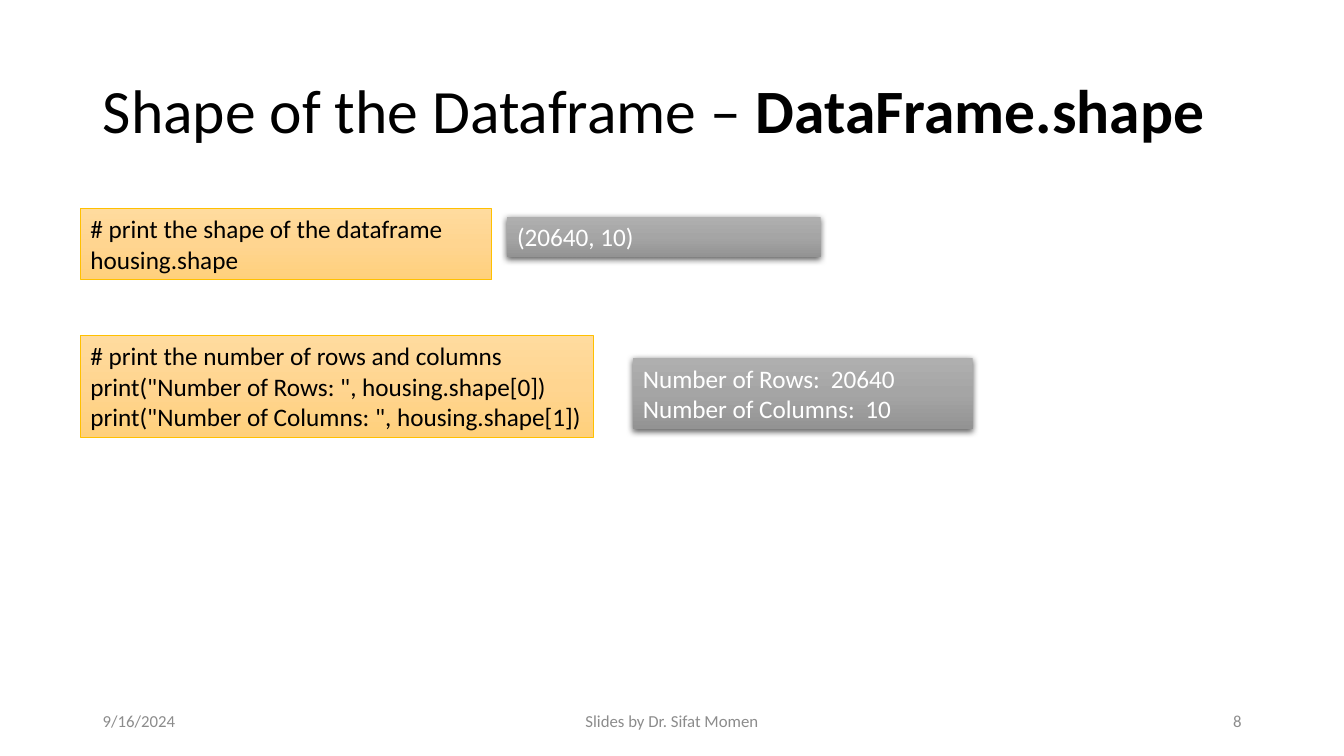
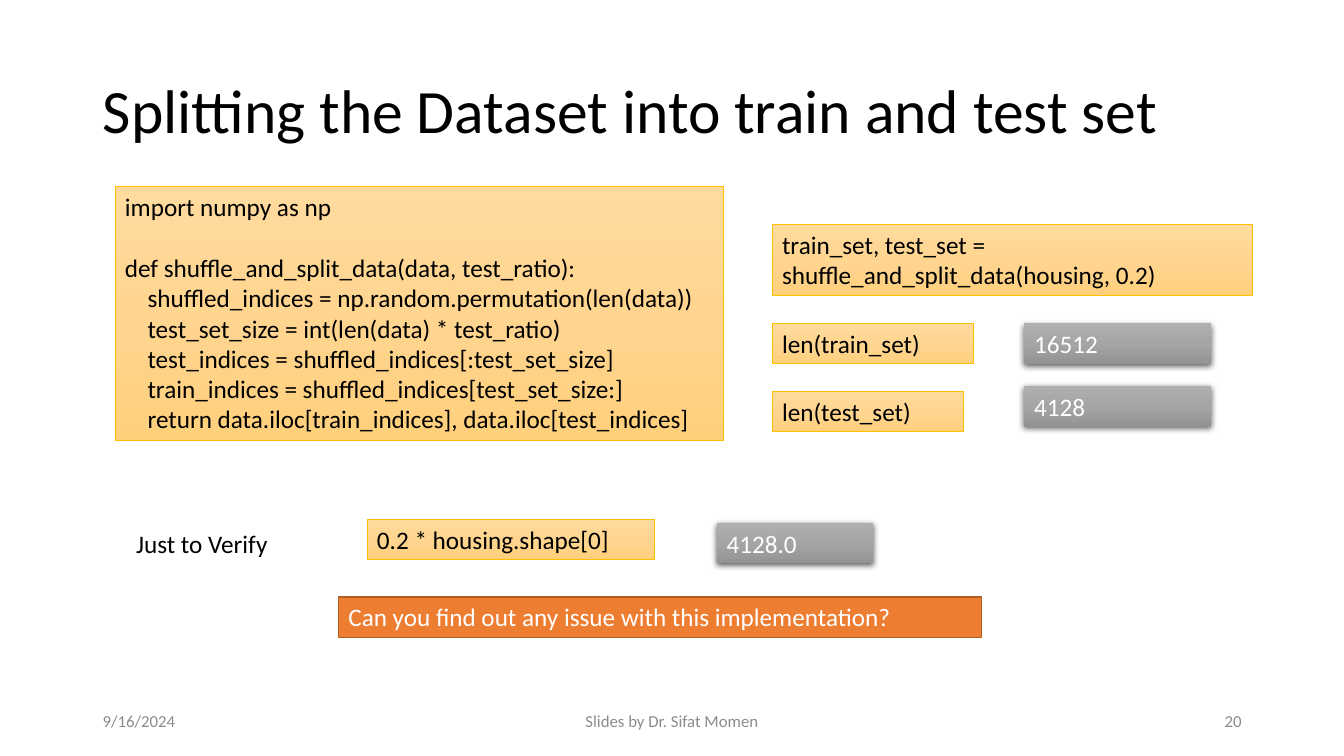
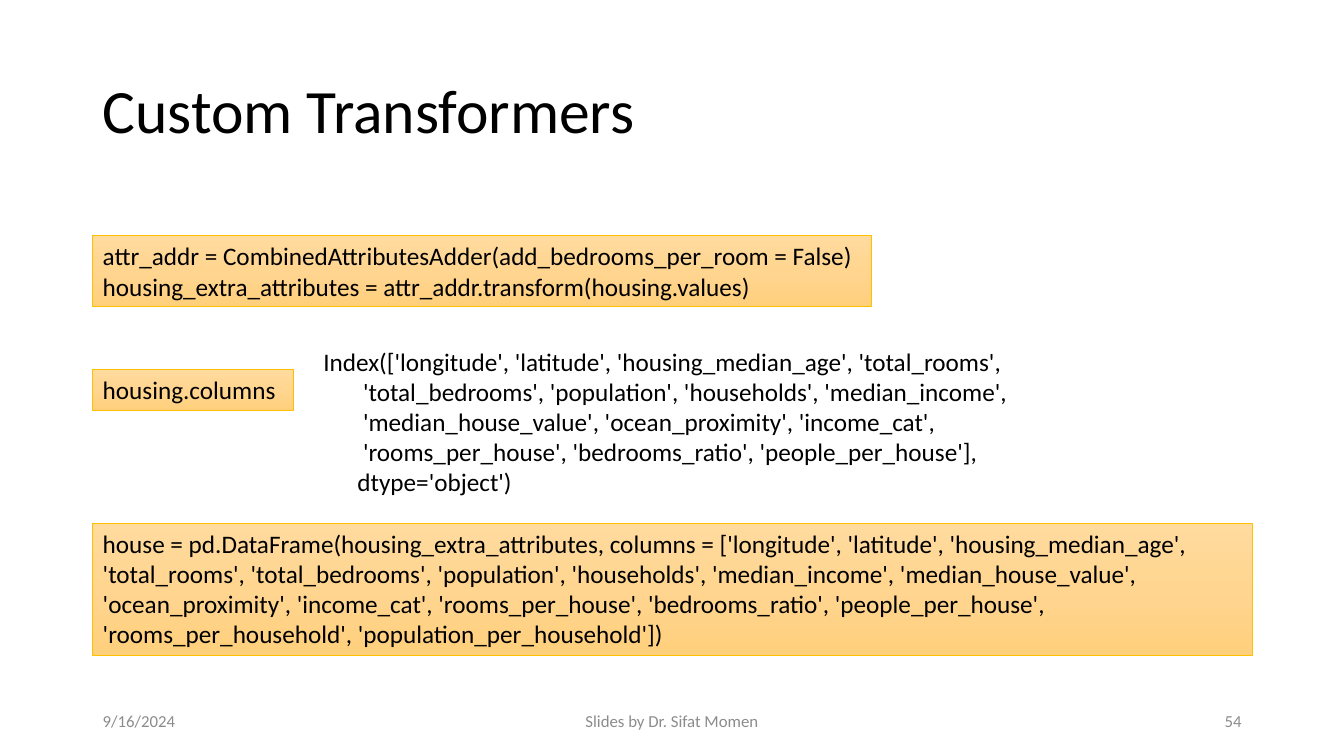
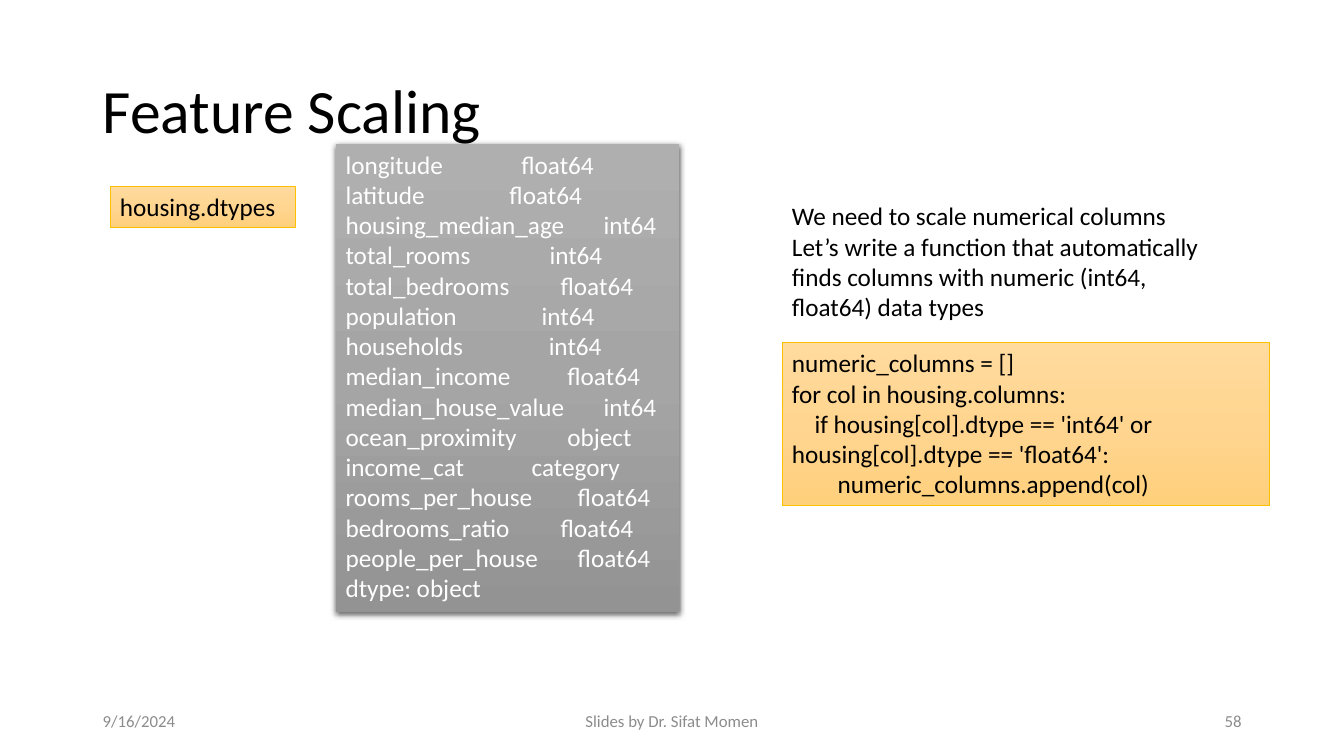
from copy import deepcopy
from dataclasses import dataclass

from pptx import Presentation
from pptx.dml.color import RGBColor
from pptx.enum.shapes import MSO_SHAPE
from pptx.enum.text import MSO_ANCHOR, MSO_AUTO_SIZE, PP_ALIGN
from pptx.oxml import parse_xml
from pptx.oxml.ns import nsdecls, qn
from pptx.util import Cm, Pt


@dataclass
class Line:
    """One paragraph: first-line indent and tab stop in cm, space before in pt."""
    text: str
    indent: float = 0
    tab: float = 0
    before: float = 0


@dataclass
class Box:
    """A block of text; rows is needed only when lines wrap or are spaced."""
    style: str
    left: float
    top: float
    width: float
    lines: list
    rows: int = 0


# Shared look
FONT = "Calibri"
GREY = "8C8C8C"
STYLES = {
    "code": dict(fill=["FFDB9E", "FFD590", "FFD07C"], line=("FFC000", 0.5), color="000000"),
    "output": dict(fill=["AFAFAF", "A5A5A5", "939393"], shadow=True, color="FFFFFF"),
    "question": dict(fill=["ED7D31"], line=("AF5C24", 1), color="FFFFFF"),
    "plain": dict(color="000000"),
}
MARGIN, BODY_WIDTH = 2.34, 29.21
ROW_HEIGHT, PADDING = 0.77, 0.25
FOOTER_TOP, FOOTER_HEIGHT = 17.65, 1.02
DATE, AUTHOR = "9/16/2024", "Slides by Dr. Sifat Momen"

# Content: column types, with the tab stop of each type
DTYPES = [
    ("longitude", "float64", 4.43),
    ("latitude", "float64", 4.13),
    ("housing_median_age", "int64", 6.5),
    ("total_rooms", "int64", 5.14),
    ("total_bedrooms", "float64", 5.42),
    ("population", "int64", 4.94),
    ("households", "int64", 5.12),
    ("median_income", "float64", 5.59),
    ("median_house_value", "int64", 6.5),
    ("ocean_proximity", "object", 5.59),
    ("income_cat", "category", 4.69),
    ("rooms_per_house", "float64", 5.85),
    ("bedrooms_ratio", "float64", 5.42),
    ("people_per_house", "float64", 5.85),
]
DTYPE_LINES = [Line(f"{name}\t{dtype}", tab=tab) for name, dtype, tab in DTYPES]

# Content: slides as (number, title runs with bold flag, boxes)
SLIDES = [
    (8, [("Shape of the Dataframe – ", False), ("DataFrame.shape", True)], [
        Box("code", 2.03, 5.26, 10.36, [
            Line("# print the shape of the dataframe"),
            Line("housing.shape")]),
        Box("output", 12.78, 5.46, 7.9, [Line("(20640, 10)")]),
        Box("code", 2.03, 8.46, 12.93, [
            Line("# print the number of rows and columns"),
            Line('print("Number of Rows: ", housing.shape[0])'),
            Line('print("Number of Columns: ", housing.shape[1])')]),
        Box("output", 15.95, 9.02, 8.56, [
            Line("Number of Rows:\t20640", tab=4.74),
            Line("Number of Columns:\t10", tab=5.61)]),
    ]),
    (20, [("Splitting the Dataset into train and test set", False)], [
        Box("code", 2.9, 4.7, 15.34, [
            Line("import numpy as np"),
            Line("def shuffle_and_split_data(data, test_ratio):", before=22),
            Line("shuffled_indices = np.random.permutation(len(data))", 0.57),
            Line("test_set_size = int(len(data) * test_ratio)", 0.57),
            Line("test_indices = shuffled_indices[:test_set_size]", 0.57),
            Line("train_indices = shuffled_indices[test_set_size:]", 0.57),
            Line("return data.iloc[train_indices], data.iloc[test_indices]", 0.57)], 8),
        Box("code", 19.46, 5.66, 12.09, [
            Line("train_set, test_set = shuffle_and_split_data(housing, 0.2)")], 2),
        Box("code", 19.46, 8.15, 5.08, [Line("len(train_set)")]),
        Box("code", 19.46, 9.86, 4.83, [Line("len(test_set)")]),
        Box("output", 25.81, 8.15, 4.72, [Line("16512")]),
        Box("output", 25.81, 9.73, 4.72, [Line("4128")]),
        Box("plain", 3.18, 13.18, 4.17, [Line("Just to Verify")]),
        Box("code", 9.25, 13.08, 7.24, [Line("0.2 * housing.shape[0]")]),
        Box("output", 18.06, 13.18, 3.94, [Line("4128.0")]),
        Box("question", 8.53, 15.04, 16.21, [
            Line("Can you find out any issue with this implementation?")]),
    ]),
    (54, [("Custom Transformers", False)], [
        Box("code", MARGIN, 5.94, 19.63, [
            Line("attr_addr = CombinedAttributesAdder(add_bedrooms_per_room = False)"),
            Line("housing_extra_attributes = attr_addr.transform(housing.values)")]),
        Box("code", MARGIN, 9.32, 5.05, [Line("housing.columns")]),
        Box("plain", 7.9, 8.59, 19.84, [
            Line("Index(['longitude', 'latitude', 'housing_median_age', 'total_rooms',"),
            Line("'total_bedrooms', 'population', 'households', 'median_income',", 1),
            Line("'median_house_value', 'ocean_proximity', 'income_cat',", 1),
            Line("'rooms_per_house', 'bedrooms_ratio', 'people_per_house'],", 1),
            Line("dtype='object')", 0.86)]),
        Box("code", MARGIN, 13.18, BODY_WIDTH, [
            Line("house = pd.DataFrame(housing_extra_attributes, columns = ["
                 "'longitude', 'latitude', 'housing_median_age', 'total_rooms', "
                 "'total_bedrooms', 'population', 'households', 'median_income', "
                 "'median_house_value', 'ocean_proximity', 'income_cat', "
                 "'rooms_per_house', 'bedrooms_ratio', 'people_per_house', "
                 "'rooms_per_household', 'population_per_household'])")], 4),
    ]),
    (58, [("Feature Scaling", False)], [
        Box("code", 2.77, 4.7, 4.67, [Line("housing.dtypes")]),
        Box("output", 8.46, 3.63, 8.66, DTYPE_LINES + [Line("dtype: object")]),
        Box("plain", 19.71, 4.93, 11.53, [
            Line("We need to scale numerical columns"),
            Line("Let’s write a function that automatically finds columns "
                 "with numeric (int64, float64) data types")], 4),
        Box("code", 19.71, 8.64, 12.27, [
            Line("numeric_columns = []"),
            Line("for col in housing.columns:"),
            Line("if housing[col].dtype == 'int64' or housing[col].dtype == 'float64':", 0.57),
            Line("numeric_columns.append(col)", 1.15)], 5),
    ]),
]


def rgb(value):
    return RGBColor.from_string(value)


def set_font(p, size, color):
    p.font.name = FONT
    p.font.size = Pt(size)
    p.font.color.rgb = rgb(color)


def add_text(s, left, top, width, height, runs, size, color, align=PP_ALIGN.LEFT):
    """Add a middle-anchored one-paragraph text box and return its paragraph."""
    tf = s.shapes.add_textbox(Cm(left), Cm(top), Cm(width), Cm(height)).text_frame
    tf.word_wrap = True
    tf.vertical_anchor = MSO_ANCHOR.MIDDLE
    p = tf.paragraphs[0]
    p.alignment = align
    set_font(p, size, color)
    for text, bold in runs:
        r = p.add_run()
        r.text = text
        if bold:
            r.font.bold = True
    return p


def add_frame(s, runs, number):
    """Add the title and the footer row."""
    title = add_text(s, MARGIN, 1.02, BODY_WIDTH, 3.68, runs, 44, "000000")
    title.line_spacing = 0.9
    for left, width, text, align in [
        (MARGIN, 7.62, DATE, PP_ALIGN.LEFT),
        (11.22, 11.43, AUTHOR, PP_ALIGN.CENTER),
        (23.92, 7.62, str(number), PP_ALIGN.RIGHT),
    ]:
        add_text(s, left, FOOTER_TOP, width, FOOTER_HEIGHT, [(text, False)], 12, GREY, align)


def paint(sp, fill, line=None, shadow=False):
    """Fill with one colour or an even downward gradient; add outline and shadow."""
    sp.shadow.inherit = False
    props = sp.element.spPr
    if len(fill) == 1:
        sp.fill.solid()
        sp.fill.fore_color.rgb = rgb(fill[0])
    else:
        sp.fill.gradient()
        sp.fill.gradient_angle = 270
        stops = props.find(".//" + qn("a:gsLst"))
        while len(stops) < len(fill):
            stops.insert(1, deepcopy(stops[0]))
        for i, (stop, color) in enumerate(zip(sp.fill.gradient_stops, fill)):
            stop.color.rgb = rgb(color)
            stop.position = i / (len(fill) - 1)
    if line:
        sp.line.color.rgb = rgb(line[0])
        sp.line.width = Pt(line[1])
    else:
        sp.line.fill.background()
    if shadow:
        props.find(qn("a:effectLst")).append(parse_xml(
            f'<a:outerShdw {nsdecls("a")} blurRad="{Pt(4.5)}" dist="{Pt(1.5)}" '
            'dir="5400000" algn="ctr" rotWithShape="0">'
            '<a:srgbClr val="000000"><a:alpha val="63000"/></a:srgbClr></a:outerShdw>'))


def add_line(p, line, color):
    p.text = line.text
    p.alignment = PP_ALIGN.LEFT
    if line.before:
        p.space_before = Pt(line.before)
    props = p._p.get_or_add_pPr()
    if line.indent:
        props.set("marL", "0")
        props.set("indent", str(Cm(line.indent)))
    if line.tab:
        props.append(parse_xml(
            f'<a:tabLst {nsdecls("a")}><a:tab pos="{Cm(line.tab)}" algn="l"/></a:tabLst>'))
    set_font(p, 18, color)


def add_box(s, box):
    look = dict(STYLES[box.style])
    color = look.pop("color")
    height = PADDING + ROW_HEIGHT * (box.rows or len(box.lines))
    place = Cm(box.left), Cm(box.top), Cm(box.width), Cm(height)
    if look:
        sp = s.shapes.add_shape(MSO_SHAPE.RECTANGLE, *place)
        paint(sp, **look)
    else:
        sp = s.shapes.add_textbox(*place)
    tf = sp.text_frame
    tf.word_wrap = True
    tf.auto_size = MSO_AUTO_SIZE.SHAPE_TO_FIT_TEXT
    tf.vertical_anchor = MSO_ANCHOR.TOP
    for i, line in enumerate(box.lines):
        add_line(tf.add_paragraph() if i else tf.paragraphs[0], line, color)


def main():
    prs = Presentation()
    prs.slide_width, prs.slide_height = Cm(33.87), Cm(19.05)
    for number, title, boxes in SLIDES:
        s = prs.slides.add_slide(prs.slide_layouts[6])
        add_frame(s, title, number)
        for box in boxes:
            add_box(s, box)
    prs.save("out.pptx")


if __name__ == "__main__":
    main()
